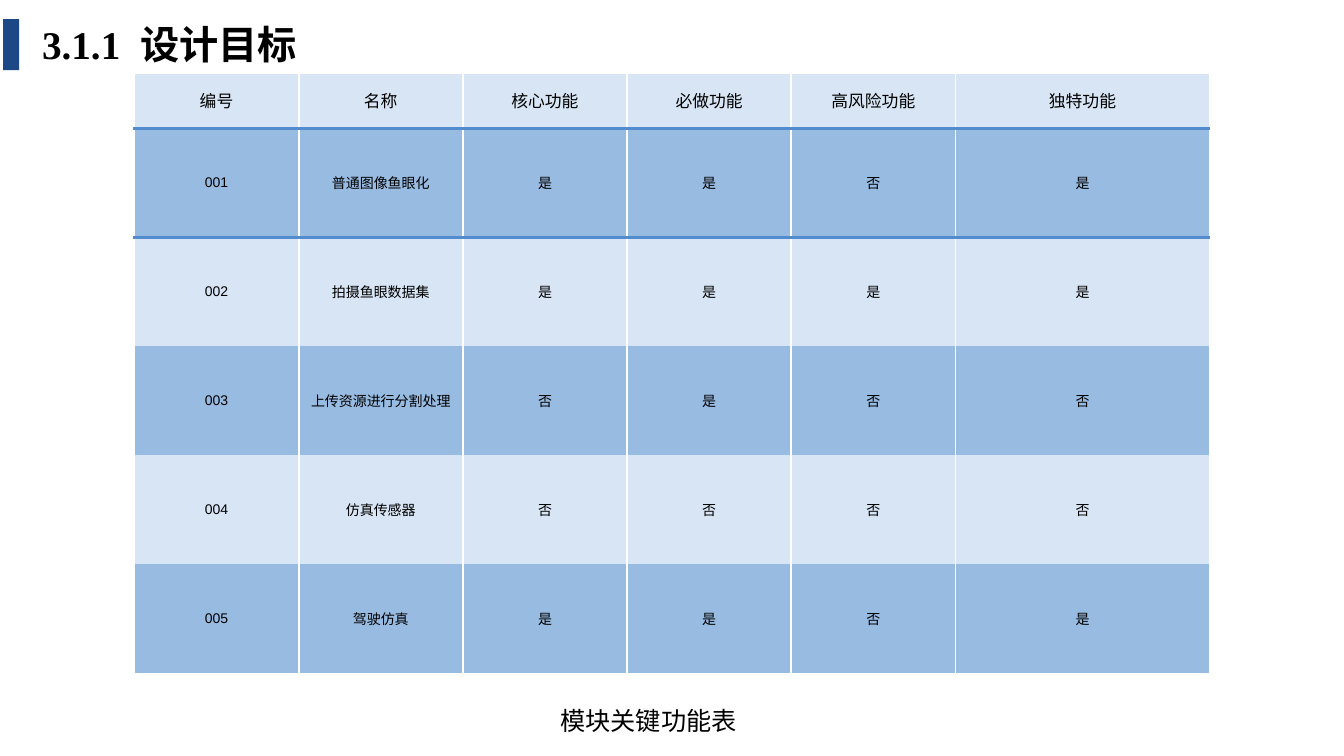
from lxml.etree import SubElement
from pptx import Presentation
from pptx.dml.color import RGBColor
from pptx.enum.shapes import MSO_SHAPE
from pptx.enum.text import MSO_ANCHOR, MSO_AUTO_SIZE, PP_ALIGN
from pptx.oxml.ns import qn
from pptx.util import Pt

BLACK = RGBColor(0x00, 0x00, 0x00)
WHITE = RGBColor(0xFF, 0xFF, 0xFF)
NAVY = RGBColor(0x1C, 0x48, 0x85)
RULE_BLUE = RGBColor(0x52, 0x8C, 0xCF)
PALE_BLUE = RGBColor(0xD7, 0xE5, 0xF4)
MID_BLUE = RGBColor(0x98, 0xBB, 0xE2)
CHINESE_FONT = "Noto Sans CJK SC"
NO_STYLE = "{2D5ABB26-0587-4C30-8999-92F81FD0307C}"

ROWS = [
    ["编号", "名称", "核心功能", "必做功能", "高风险功能", "独特功能"],
    ["001", "普通图像鱼眼化", "是", "是", "否", "是"],
    ["002", "拍摄鱼眼数据集", "是", "是", "是", "是"],
    ["003", "上传资源进行分割处理", "否", "是", "否", "否"],
    ["004", "仿真传感器", "否", "否", "否", "否"],
    ["005", "驾驶仿真", "是", "是", "否", "是"],
]


def format_runs(paragraph, size, latin_font, bold=False):
    for run in paragraph.runs:
        run.font.size = Pt(size)
        run.font.bold = bold
        run.font.color.rgb = BLACK
        run.font.name = latin_font
        east_asian = SubElement(run.font._element, qn("a:ea"))
        east_asian.set("typeface", CHINESE_FONT)


def add_border(cell, side, color, width):
    line = SubElement(cell._tc.get_or_add_tcPr(), qn("a:" + side), w=str(Pt(width)))
    fill = SubElement(line, qn("a:solidFill"))
    SubElement(fill, qn("a:srgbClr"), val=str(color))


presentation = Presentation()
presentation.slide_width = Pt(960)
presentation.slide_height = Pt(540)
slide = presentation.slides.add_slide(presentation.slide_layouts[6])

title = slide.shapes.add_textbox(Pt(23), Pt(10.8), Pt(574), Pt(41))
title.text_frame.word_wrap = True
title.text_frame.auto_size = MSO_AUTO_SIZE.SHAPE_TO_FIT_TEXT
paragraph = title.text_frame.paragraphs[0]
for part in ["3.1.1", " ", "设计目标"]:
    paragraph.add_run().text = part
format_runs(paragraph, 28, "Times New Roman", bold=True)
paragraph.runs[1].font._element.set("spc", "700")

marker = slide.shapes.add_shape(MSO_SHAPE.RECTANGLE, Pt(2.2), Pt(13.6), Pt(11.5), Pt(36.5))
marker.shadow.inherit = False
marker.fill.solid()
marker.fill.fore_color.rgb = NAVY
marker.line.fill.background()

frame = slide.shapes.add_table(len(ROWS), len(ROWS[0]), Pt(96), Pt(52.2), Pt(768), Pt(429.5))
table = frame.table
table.first_row = False
table.horz_banding = False
for style in frame.element.iter(qn("a:tableStyleId")):
    style.text = NO_STYLE
for index, column in enumerate(table.columns):
    column.width = Pt(181.5 if index == len(ROWS[0]) - 1 else 117.3)

for row_index, values in enumerate(ROWS):
    header = row_index == 0
    table.rows[row_index].height = Pt(39.4 if header else 77.9)
    for column_index, value in enumerate(values):
        cell = table.cell(row_index, column_index)
        cell.text_frame.text = value
        cell.vertical_anchor = MSO_ANCHOR.MIDDLE
        cell.margin_left = cell.margin_right = Pt(5)
        cell.margin_top = cell.margin_bottom = Pt(0)
        paragraph = cell.text_frame.paragraphs[0]
        paragraph.alignment = PP_ALIGN.CENTER
        format_runs(paragraph, 12 if header else 10, "Arial")
        add_border(cell, "lnL", WHITE, 1.5)
        add_border(cell, "lnR", WHITE, 1.5)
        if header:
            add_border(cell, "lnT", WHITE, 1.5)
            add_border(cell, "lnB", RULE_BLUE, 2.25)
        elif row_index == 1:
            add_border(cell, "lnT", RULE_BLUE, 2.25)
        elif row_index == len(ROWS) - 1:
            add_border(cell, "lnB", WHITE, 1.5)
        cell.fill.solid()
        cell.fill.fore_color.rgb = MID_BLUE if row_index % 2 else PALE_BLUE

caption = slide.shapes.add_textbox(Pt(393.2), Pt(500.4), Pt(173.5), Pt(29))
caption.text_frame.word_wrap = True
caption.text_frame.auto_size = MSO_AUTO_SIZE.SHAPE_TO_FIT_TEXT
caption.text_frame.text = "模块关键功能表"
format_runs(caption.text_frame.paragraphs[0], 18, CHINESE_FONT)

presentation.save("out.pptx")
